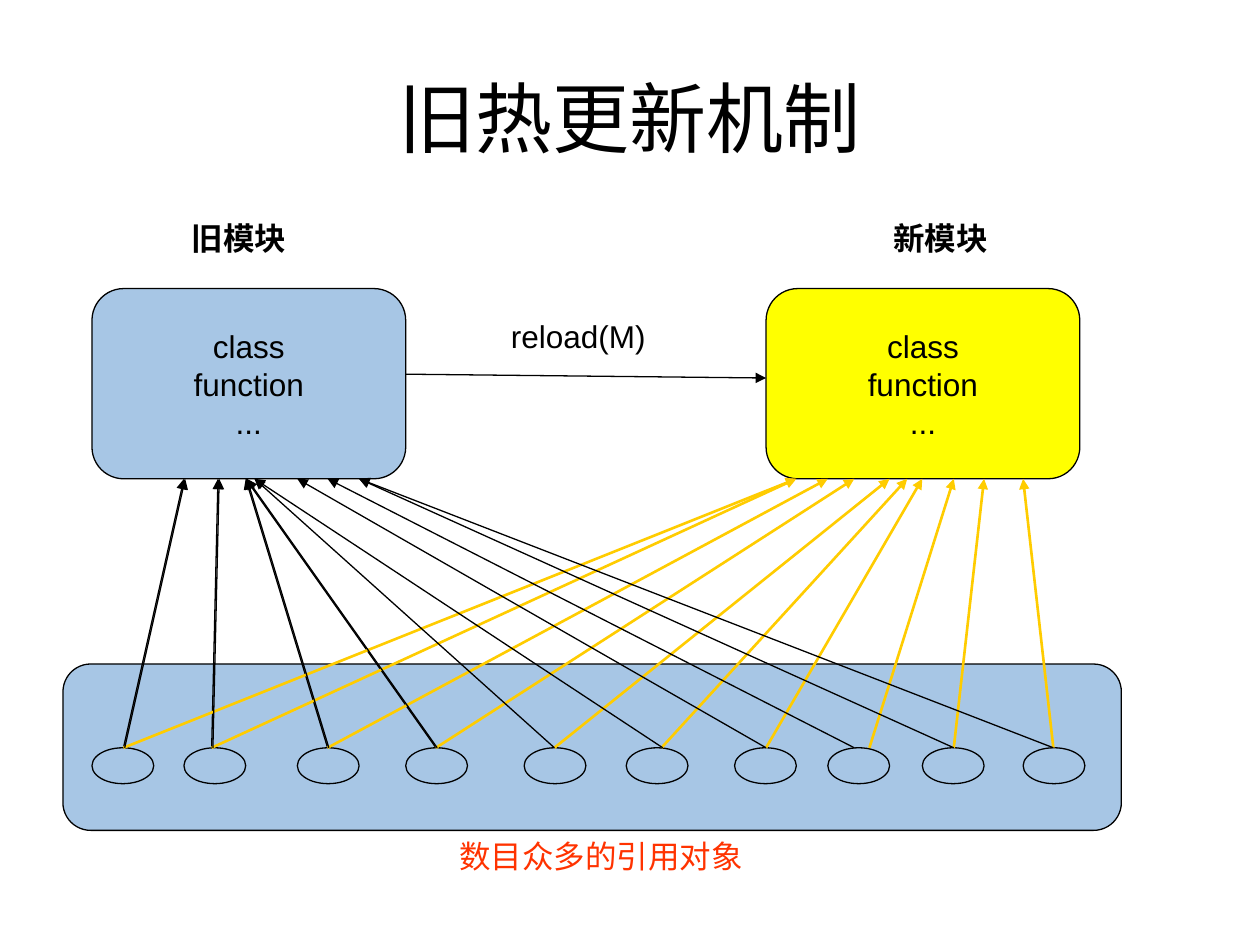
from lxml import etree
from pptx import Presentation
from pptx.dml.color import RGBColor
from pptx.enum.shapes import MSO_CONNECTOR, MSO_SHAPE
from pptx.enum.text import MSO_ANCHOR, MSO_AUTO_SIZE, PP_ALIGN
from pptx.oxml.ns import qn
from pptx.util import Inches, Pt

STRAIGHT = MSO_CONNECTOR.STRAIGHT
ROUNDED, OVAL = MSO_SHAPE.ROUNDED_RECTANGLE, MSO_SHAPE.OVAL
TOP, MIDDLE = MSO_ANCHOR.TOP, MSO_ANCHOR.MIDDLE
GROW, FIXED = MSO_AUTO_SIZE.SHAPE_TO_FIT_TEXT, MSO_AUTO_SIZE.NONE
CENTER = PP_ALIGN.CENTER

THEME = {
    "font": "Arial",
    "title": Pt(44),
    "body": Pt(18),
    "thin": Pt(0.75),
    "thick": Pt(1.5),
    "black": RGBColor(0x00, 0x00, 0x00),
    "blue": RGBColor(0xA7, 0xC6, 0xE5),
    "yellow": RGBColor(0xFF, 0xFF, 0x00),
    "gold": RGBColor(0xFF, 0xCC, 0x00),
    "red": RGBColor(0xFF, 0x33, 0x00),
}

presentation = Presentation()
presentation.slide_width, presentation.slide_height = Inches(10), Inches(7.5)
slide = presentation.slides.add_slide(presentation.slide_layouts[6])

# The slide is a grid of 100 columns by 75 rows
COLUMN = presentation.slide_width / 100
ROW = presentation.slide_height / 75
MODULE_TOP, MODULE_WIDTH, MODULE_HEIGHT = 22.9, 24.9, 15.1
MODULE_BOTTOM = MODULE_TOP + MODULE_HEIGHT
OLD_LEFT, NEW_LEFT = 7.3, 60.8
OBJECT_TOP, OBJECT_WIDTH, OBJECT_HEIGHT = 59.35, 4.9, 2.85


def write_text(shape, lines, anchor, wrap, auto_size, **font_format):
    """Fill a shape with centred lines, one paragraph each."""
    frame = shape.text_frame
    frame.text = "\n".join(lines)
    frame.vertical_anchor, frame.word_wrap, frame.auto_size = anchor, wrap, auto_size
    for paragraph in frame.paragraphs:
        paragraph.alignment = CENTER
        font = paragraph.runs[0].font
        font.color.rgb = THEME[font_format.get("color", "black")]
        settings = {
            "name": THEME["font"],
            "size": THEME[font_format.get("size", "body")],
            "bold": font_format.get("bold", False),
        }
        for name, value in settings.items():
            setattr(font, name, value)


def add_arrow(start, end, color, width):
    """Join two (column, row) points with a head at the end."""
    (x1, y1), (x2, y2) = start, end
    arrow = slide.shapes.add_connector(
        STRAIGHT, int(x1 * COLUMN), int(y1 * ROW), int(x2 * COLUMN), int(y2 * ROW)
    )
    arrow.line.color.rgb, arrow.line.width = THEME[color], THEME[width]
    line = arrow.line._get_or_add_ln()
    etree.SubElement(line, qn("a:tailEnd"), type="triangle")
    etree.SubElement(arrow._element.spPr, qn("a:effectLst"))


# Panel, the two modules and the objects that refer to them
object_lefts = [7.3, 14.6, 23.6, 32.2, 41.6, 49.7, 58.3, 65.7, 73.2, 81.2]
module_lines = ["class", "function", "..."]
shapes = [
    (ROUNDED, 5, 52.7, 84, 13.2, "blue", None),
    (ROUNDED, OLD_LEFT, MODULE_TOP, MODULE_WIDTH, MODULE_HEIGHT, "blue", module_lines),
    (ROUNDED, NEW_LEFT, MODULE_TOP, MODULE_WIDTH, MODULE_HEIGHT, "yellow", module_lines),
]
shapes += [
    (OVAL, left, OBJECT_TOP, OBJECT_WIDTH, OBJECT_HEIGHT, "blue", None)
    for left in object_lefts
]
for kind, left, top, width, height, fill, lines in shapes:
    shape = slide.shapes.add_shape(
        kind, int(left * COLUMN), int(top * ROW), int(width * COLUMN), int(height * ROW)
    )
    shape.shadow.inherit = False
    shape.fill.solid()
    shape.fill.fore_color.rgb = THEME[fill]
    shape.line.color.rgb, shape.line.width = THEME["black"], THEME["thin"]
    if lines:
        write_text(shape, lines, MIDDLE, False, FIXED)

# Title and labels
labels = [
    ("旧热更新机制", 5, 3, 90, 12.5, MIDDLE, FIXED, {"size": "title"}),
    ("旧模块", 11.9, 16.9, 14.1, 4, TOP, GROW, {"bold": True}),
    ("新模块", 65.7, 16.9, 17.9, 4, TOP, GROW, {"bold": True}),
    ("reload(M)", 37.2, 24.7, 17.4, 4, TOP, GROW, {}),
    ("数目众多的引用对象", 34.6, 65.9, 26.2, 4, TOP, GROW, {"color": "red"}),
]
for text, left, top, width, height, anchor, auto_size, font_format in labels:
    box = slide.shapes.add_textbox(
        int(left * COLUMN), int(top * ROW), int(width * COLUMN), int(height * ROW)
    )
    write_text(box, [text], anchor, True, auto_size, **font_format)

# Arrows: the reload step, then each object to the new and the old module
add_arrow((OLD_LEFT + MODULE_WIDTH, 29.7), (NEW_LEFT, 30), "black", "thin")
old_arrows = [
    (9.8, 14.6), (16.8, 17.3), (26, 19.5), (34.6, 19.5), (44, 20.2),
    (52.6, 20.2), (60.8, 23.6), (67.8, 26), (75.7, 28.5), (83.6, 28.5),
]
new_arrows = [
    (9.8, 63.2), (16.8, 63.2), (26, 65.7), (34.6, 67.8), (44, 70.6),
    (52.5, 72), (60.8, 73.2), (69, 75.7), (75.7, 78.1), (83.6, 81.2),
]
# The first four objects hold two references to the old module
arrow_groups = [
    (old_arrows[:4], "black", "thin"),
    (new_arrows, "gold", "thick"),
    ([(start + 0.1, end + 0.1) for start, end in old_arrows[:4]], "black", "thin"),
    (old_arrows[4:], "black", "thin"),
]
for arrows, color, width in arrow_groups:
    for start, end in arrows:
        add_arrow((start, OBJECT_TOP), (end, MODULE_BOTTOM), color, width)

presentation.save("out.pptx")
